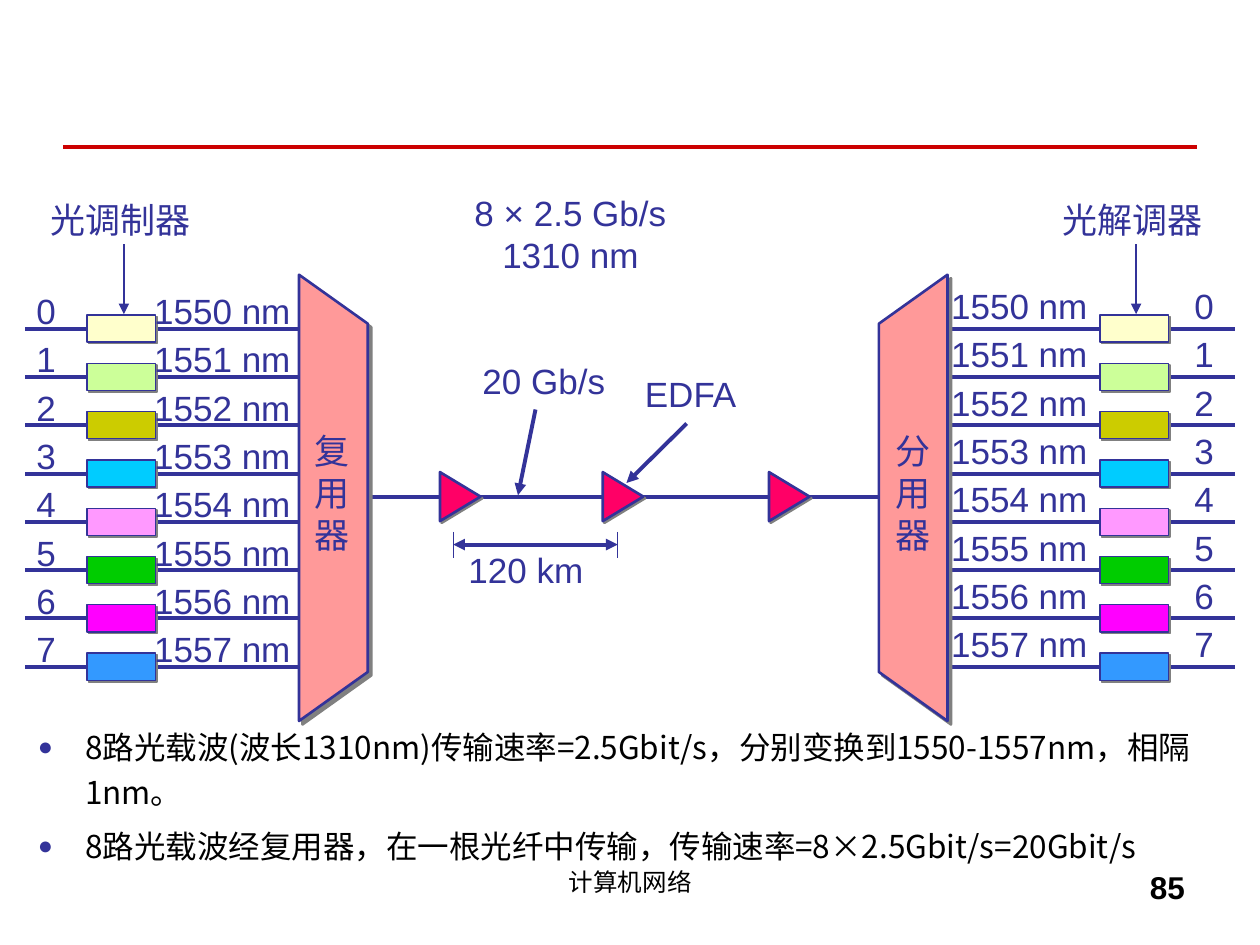
import pptx
import pptx.util
import pptx.dml.color
import pptx.enum.shapes
import pptx.enum.text
import lxml.etree
from pptx.oxml.ns import qn

Pt = pptx.util.Pt
Shape = pptx.enum.shapes.MSO_SHAPE
Align = pptx.enum.text.PP_ALIGN
sub = lxml.etree.SubElement
NAVY = "333399"


def color(code):
    return pptx.dml.color.RGBColor.from_string(code)


def paint(shape, fill, width, dist):
    """Fill and outline a shape and give it a hard grey shadow."""
    shape.fill.solid()
    shape.fill.fore_color.rgb = color(fill)
    shape.line.color.rgb = color(NAVY)
    shape.line.width = Pt(width)
    shape.shadow.inherit = False
    effects = shape._element.spPr.find(qn("a:effectLst"))
    shade = sub(effects, qn("a:outerShdw"), dist=str(Pt(dist)),
                dir="2700000", algn="ctr", rotWithShape="0")
    sub(shade, qn("a:srgbClr"), val="808080")


deck = pptx.Presentation()
deck.slide_width, deck.slide_height = Pt(720), Pt(540)
slide = deck.slides.add_slide(deck.slide_layouts[1])
shapes = slide.shapes
title = shapes.title._element
title.getparent().remove(title)

# Bullet list
body = slide.placeholders[1]
body.left, body.top, body.width, body.height = Pt(14.4), Pt(408), Pt(692), Pt(111)
frame = body.text_frame
frame.word_wrap = True
frame.vertical_anchor = pptx.enum.text.MSO_ANCHOR.TOP
frame.text = (
    "8路光载波(波长1310nm)传输速率=2.5Gbit/s，分别变换到1550-1557nm，相隔1nm。\n"
    "8路光载波经复用器，在一根光纤中传输，传输速率=8×2.5Gbit/s=20Gbit/s")
for i, para in enumerate(frame.paragraphs):
    props = para._p.get_or_add_pPr()
    props.set("marL", str(Pt(27)))
    props.set("indent", str(Pt(-27)))
    sub(sub(props, qn("a:buClr")), qn("a:srgbClr"), val=NAVY)
    sub(props, qn("a:buSzPct"), val="80000")
    sub(props, qn("a:buFont"), typeface="Arial")
    sub(props, qn("a:buChar"), char="●")
    para.line_spacing = Pt(26)
    para.space_before = Pt(4.5 if i else 0)
    para.font.name = "Noto Sans CJK SC"
    para.font.size = Pt(18)
    para.font.color.rgb = color("000000")

# Lines: x1, y1, x2, y2, width, color, arrow ends
tones = ["FFFFCC", "CCFF99", "CCCC00", "00CCFF",
         "FF99FF", "00CC00", "FF00FF", "3399FF"]
first, pitch = 187.8, 27.6
rows = [first + pitch * i for i in range(len(tones))]
lines = [(36, 84, 684, 84, 2, "CC0000", ())]
for y in rows:
    for x in (14.4, 541.4):
        lines.append((x, y, x + 164.2, y, 2.25, NAVY, ()))
lines += [
    (183, 284, 537, 284, 2.25, NAVY, ()),
    (306, 234, 296, 283, 2.25, NAVY, ("tailEnd",)),
    (392.4, 242, 358, 276, 2.25, NAVY, ("tailEnd",)),
    (259, 304, 259, 319, 0.75, NAVY, ()),
    (353, 304, 353, 319, 0.75, NAVY, ()),
    (259, 311.2, 353, 311.2, 2.25, NAVY, ("headEnd", "tailEnd")),
    (70.8, 139.7, 70.8, 179.5, 0.75, NAVY, ("tailEnd",)),
    (649.2, 139.7, 649.2, 179.5, 0.75, NAVY, ("tailEnd",)),
]
for x1, y1, x2, y2, width, tone, ends in lines:
    link = shapes.add_connector(pptx.enum.shapes.MSO_CONNECTOR.STRAIGHT,
                                Pt(x1), Pt(y1), Pt(x2), Pt(y2))
    link.line.color.rgb = color(tone)
    link.line.width = Pt(width)
    for end in ends:
        sub(link.line._get_or_add_ln(), qn("a:" + end), type="triangle")
    sub(link._element.spPr, qn("a:effectLst"))

# Modulators and demodulators
for y, tone in zip(rows, tones):
    for x in (49.8, 628.6):
        paint(shapes.add_shape(Shape.RECTANGLE, Pt(x), Pt(y - 7.8),
                               Pt(39), Pt(15.5)), tone, 0.75, 1.4)

# Amplifiers
for x in (249, 342, 437):
    amp = shapes.add_shape(Shape.ISOSCELES_TRIANGLE, Pt(x), Pt(272.2),
                           Pt(28), Pt(23.2))
    amp.rotation = 90
    paint(amp, "FF0066", 1.5, 1.4)

# Multiplexer and demultiplexer: long edge, short edge
for far, near in ((170.9, 210.2), (541.4, 502.2)):
    path = shapes.build_freeform(Pt(far), Pt(412), scale=1.0)
    path.add_line_segments([(Pt(near), Pt(384)), (Pt(near), Pt(185)),
                            (Pt(far), Pt(157))])
    paint(path.convert_to_shape(), "FF9999", 1.5, 2.8)

# Labels: left, top, width, height, text, font, size, color, align, line, tab
left = "\n".join(f"{i}\t{1550 + i} nm" for i in range(8))
right = "\n".join(f"{1550 + i} nm\t{i}" for i in range(8))
L, C, R = Align.LEFT, Align.CENTER, Align.RIGHT
labels = [
    (13.7, 158.4, 182, 228, left, "Arial", 20, NAVY, L, pitch, 67.3),
    (536.4, 155.5, 182, 228, right, "Arial", 20, NAVY, L, pitch, 139),
    (262, 105.8, 128, 55, "8 × 2.5 Gb/s\n1310 nm", "Arial", 20, NAVY, C, 24, 0),
    (268.6, 201.6, 90, 32, "20 Gb/s", "Arial", 20, NAVY, L, 24, 0),
    (361.4, 209.5, 74, 32, "EDFA", "Arial", 20, NAVY, L, 24, 0),
    (260.6, 309.6, 86, 32, "120 km", "Arial", 20, NAVY, L, 24, 0),
    (172.8, 242, 40, 79, "复\n用\n器", "Times New Roman", 20, NAVY, L, 24, 0),
    (504.7, 242, 40, 79, "分\n用\n器", "Times New Roman", 20, NAVY, L, 24, 0),
    (21.6, 110, 100, 32, "光调制器", "Lato", 20, NAVY, L, 24, 0),
    (599.8, 110, 100, 32, "光解调器", "Lato", 20, NAVY, L, 24, 0),
    (246.2, 491.8, 228, 37, "计算机网络", "Arial", 14, "000000", C, 17, 0),
    (516.2, 491.8, 168, 37, "85", "Arial", 18, "000000", R, 22, 0),
]
for x, y, wide, high, text, face, size, tone, align, line, tab in labels:
    box = shapes.add_textbox(Pt(x), Pt(y), Pt(wide), Pt(high))
    box.text_frame.word_wrap = True
    box.text_frame.text = text
    for para in box.text_frame.paragraphs:
        if tab:
            stops = sub(para._p.get_or_add_pPr(), qn("a:tabLst"))
            sub(stops, qn("a:tab"), pos=str(Pt(tab)), algn="l")
        para.alignment = align
        para.line_spacing = Pt(line)
        para.font.name = face
        para.font.size = Pt(size)
        para.font.bold = text == "85"
        para.font.color.rgb = color(tone)

deck.save("out.pptx")
